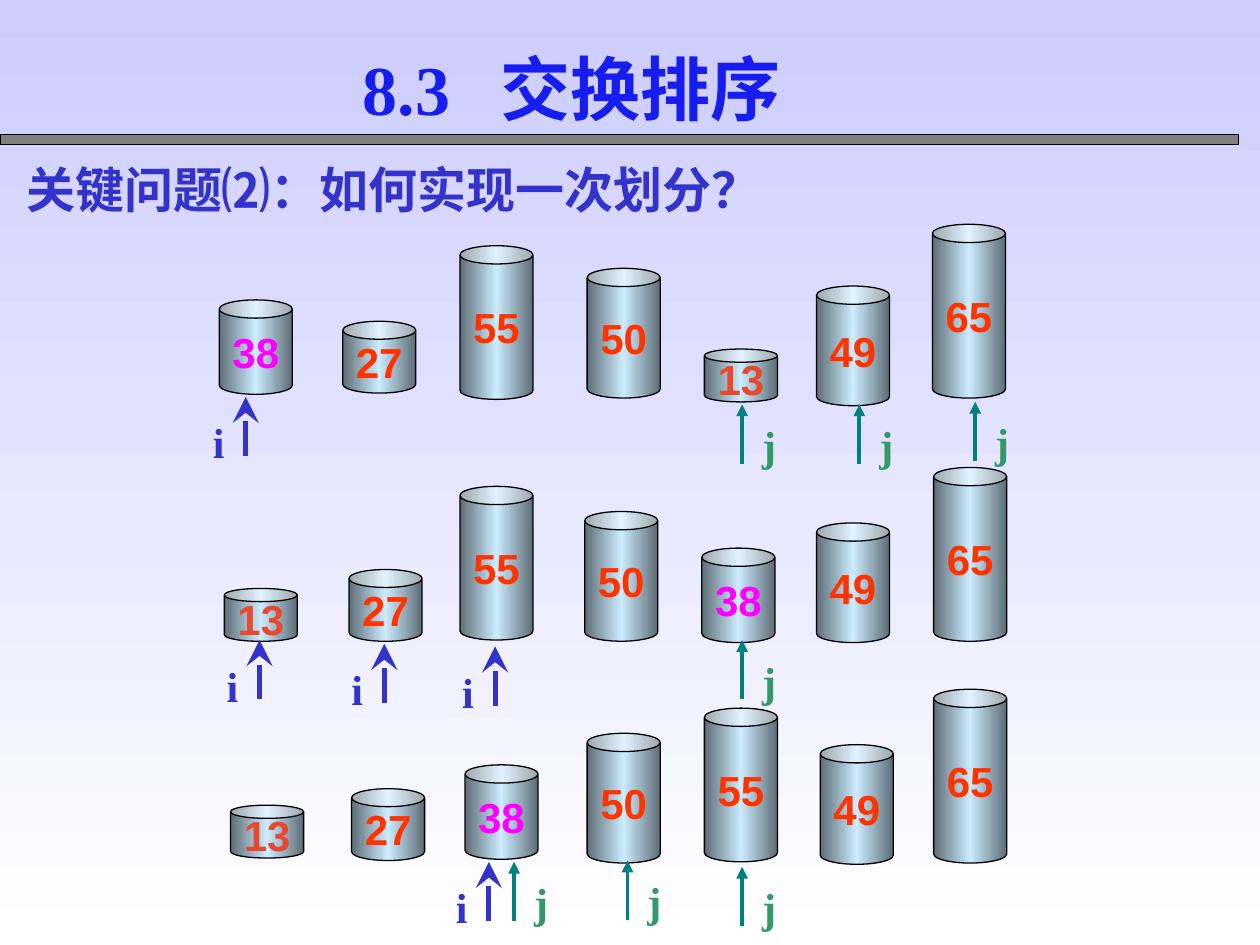
from copy import deepcopy

from pptx import Presentation
from pptx.dml.color import RGBColor
from pptx.enum.shapes import MSO_CONNECTOR as Connector, MSO_SHAPE as Shape
from pptx.enum.text import MSO_ANCHOR as Anchor, MSO_AUTO_SIZE as AutoSize, PP_ALIGN as Align
from pptx.oxml.ns import qn
from pptx.util import Inches, Pt
from lxml.etree import SubElement

BLACK = RGBColor(0x00, 0x00, 0x00)
WHITE = RGBColor(0xFF, 0xFF, 0xFF)
LAVENDER = RGBColor(0xCC, 0xCC, 0xFF)
GRAY = RGBColor(0x80, 0x80, 0x80)
STEEL = RGBColor(0x5E, 0x6D, 0x76)
ICE = RGBColor(0xCC, 0xEC, 0xFF)
ORANGE = RGBColor(0xFF, 0x33, 0x00)
BRICK = RGBColor(0xE8, 0x49, 0x2E)
MAGENTA = RGBColor(0xFF, 0x00, 0xFF)
INDIGO = RGBColor(0x33, 0x33, 0xCC)
TEAL = RGBColor(0x00, 0x80, 0x80)
GREEN = RGBColor(0x33, 0x99, 0x66)
TITLE_BLUE = RGBColor(0x17, 0x1C, 0xEF)

CJK, SANS, SERIF = "Noto Sans CJK SC", "Arial", "Times New Roman"

CAN_WIDTH = 0.58
CAN_HEIGHTS = {13: 0.42, 27: 0.57, 38: 0.75, 49: 0.95, 50: 1.03, 55: 1.22, 65: 1.38}
NUMBER_COLORS = {38: MAGENTA, 13: BRICK}  # pivot and smallest; the rest are orange

# Each stage of the partition: (value, left, top)
STAGES = [
    [(38, 1.74, 2.38), (27, 2.72, 2.55), (55, 3.65, 1.95), (50, 4.66, 2.13),
     (13, 5.59, 2.77), (49, 6.48, 2.27), (65, 7.40, 1.78)],
    [(13, 1.78, 4.67), (27, 2.77, 4.52), (55, 3.65, 3.86), (50, 4.64, 4.06),
     (38, 5.57, 4.35), (49, 6.48, 4.15), (65, 7.41, 3.71)],
    [(13, 1.83, 6.39), (27, 2.79, 6.26), (38, 3.69, 6.07), (50, 4.66, 5.82),
     (55, 5.59, 5.62), (49, 6.51, 5.91), (65, 7.41, 5.47)],
]

# Arrow tips of the two indices: (x, y)
I_TIPS = [(1.95, 3.15), (2.06, 5.08), (3.05, 5.11), (3.93, 5.13), (3.88, 6.84)]
J_TIPS = [(7.74, 3.19), (6.82, 3.21), (5.89, 3.21), (5.89, 5.08),
          (4.98, 6.83), (4.08, 6.84), (5.89, 6.88)]
ARROW_LENGTH = 0.47

# Index style: arrow colour, width, head, head size, label colour, label offset
INDEX_STYLES = {
    "i": (INDIGO, 3, "stealth", "lg", INDIGO, (-0.36, 0.11)),
    "j": (TEAL, 2.25, "triangle", "med", GREEN, (0.06, 0.07)),
}


def format_span(span, size, font, color):
    span.font.size = Pt(size)
    span.font.bold = True
    span.font.name = font
    span.font.color.rgb = color
    SubElement(span.font._element, qn("a:ea"), typeface=CJK)


def set_gradient(fill, colors, angle):
    fill.gradient()
    fill.gradient_angle = angle
    stop_list = fill.gradient_stops[0]._gs.getparent()
    while len(stop_list) < len(colors):
        stop_list.append(deepcopy(stop_list[-1]))
    for number, (stop, color) in enumerate(zip(fill.gradient_stops, colors)):
        stop.color.rgb = color
        stop.position = number / (len(colors) - 1)


def add_text(page, left, top, width, height):
    box = page.shapes.add_textbox(Inches(left), Inches(top), Inches(width), Inches(height))
    box.text_frame.word_wrap = True
    return box.text_frame.paragraphs[0]


def add_outlined(page, kind, left, top, width, height):
    shape = page.shapes.add_shape(kind, Inches(left), Inches(top), Inches(width), Inches(height))
    shape.shadow.inherit = False
    shape.line.color.rgb = BLACK
    shape.line.width = Pt(0.75)
    return shape


def add_can(page, value, left, top):
    can = add_outlined(page, Shape.CAN, left, top, CAN_WIDTH, CAN_HEIGHTS[value])
    set_gradient(can.fill, [STEEL, ICE, STEEL], 0)
    frame = can.text_frame
    frame.text = str(value)
    frame.word_wrap = False
    frame.vertical_anchor = Anchor.MIDDLE
    para = frame.paragraphs[0]
    para.alignment = Align.CENTER
    format_span(para.runs[0], 24, SANS, NUMBER_COLORS.get(value, ORANGE))


def add_index(page, name, x, y):
    """Upward arrow with its tip at x, y and the index name beside it."""
    color, width, head, head_size, label_color, (shift_x, shift_y) = INDEX_STYLES[name]
    arrow = page.shapes.add_connector(
        Connector.STRAIGHT, Inches(x), Inches(y + ARROW_LENGTH), Inches(x), Inches(y))
    arrow.line.color.rgb = color
    arrow.line.width = Pt(width)
    SubElement(arrow.line._get_or_add_ln(), qn("a:tailEnd"),
               type=head, w=head_size, len=head_size)
    SubElement(arrow._element.spPr, qn("a:effectLst"))

    para = add_text(page, x + shift_x, y + shift_y, 0.25, 0.5)
    para.text = name
    format_span(para.runs[0], 24, SERIF, label_color)


def add_text_shadow(span):
    effects = SubElement(span.font._element, qn("a:effectLst"))
    shadow = SubElement(effects, qn("a:outerShdw"), dist="35921", dir="2700000")
    SubElement(shadow, qn("a:srgbClr"), val=str(GRAY))
    span.font._element.insert(1, effects)  # effects follow the fill


def format_title(title):
    title.left, title.top = Inches(2.78), Inches(0.31)
    title.width, title.height = Inches(3.94), Inches(0.77)
    frame = title.text_frame
    frame.text = "8.3\t交换排序"
    frame.word_wrap = True
    frame.auto_size = AutoSize.NONE
    frame.vertical_anchor = Anchor.TOP
    para = frame.paragraphs[0]
    para.alignment = Align.LEFT
    tabs = SubElement(para._p.get_or_add_pPr(), qn("a:tabLst"))
    SubElement(tabs, qn("a:tab"), pos=str(Inches(1.09)), algn="l")
    format_span(para.runs[0], 40, SERIF, TITLE_BLUE)
    add_text_shadow(para.runs[0])


def add_question(page):
    para = add_text(page, 0.11, 1.22, 8.28, 0.57)
    for text, font in [("关键问题⑵：", CJK), ("如何实现一次划分？", SANS)]:
        span = para.add_run()
        span.text = text
        format_span(span, 28, font, INDIGO)


def main():
    deck = Presentation()
    deck.slide_width, deck.slide_height = Inches(10), Inches(7.5)
    page = deck.slides.add_slide(deck.slide_layouts[5])
    set_gradient(page.background.fill, [LAVENDER, WHITE], 270)

    # Heading, rule and question
    format_title(page.shapes.title)
    rule = add_outlined(page, Shape.RECTANGLE, 0, 1.07, 9.83, 0.08)
    rule.fill.solid()
    rule.fill.fore_color.rgb = GRAY
    add_question(page)

    # Three stages of the partition
    for stage in STAGES:
        for value, left, top in stage:
            add_can(page, value, left, top)

    # Moving indices
    for name, tips in [("i", I_TIPS), ("j", J_TIPS)]:
        for x, y in tips:
            add_index(page, name, x, y)

    deck.save("out.pptx")


if __name__ == "__main__":
    main()
